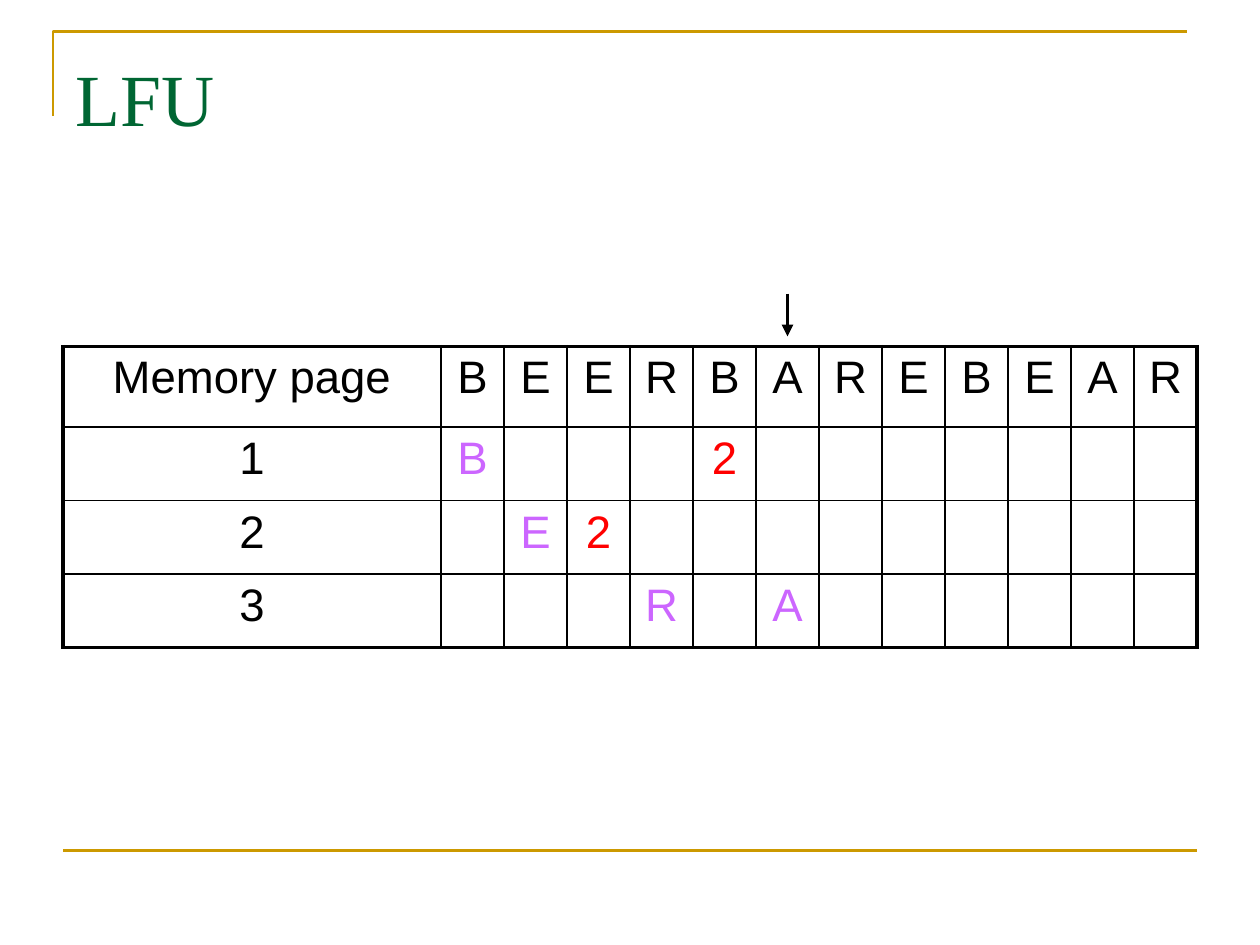
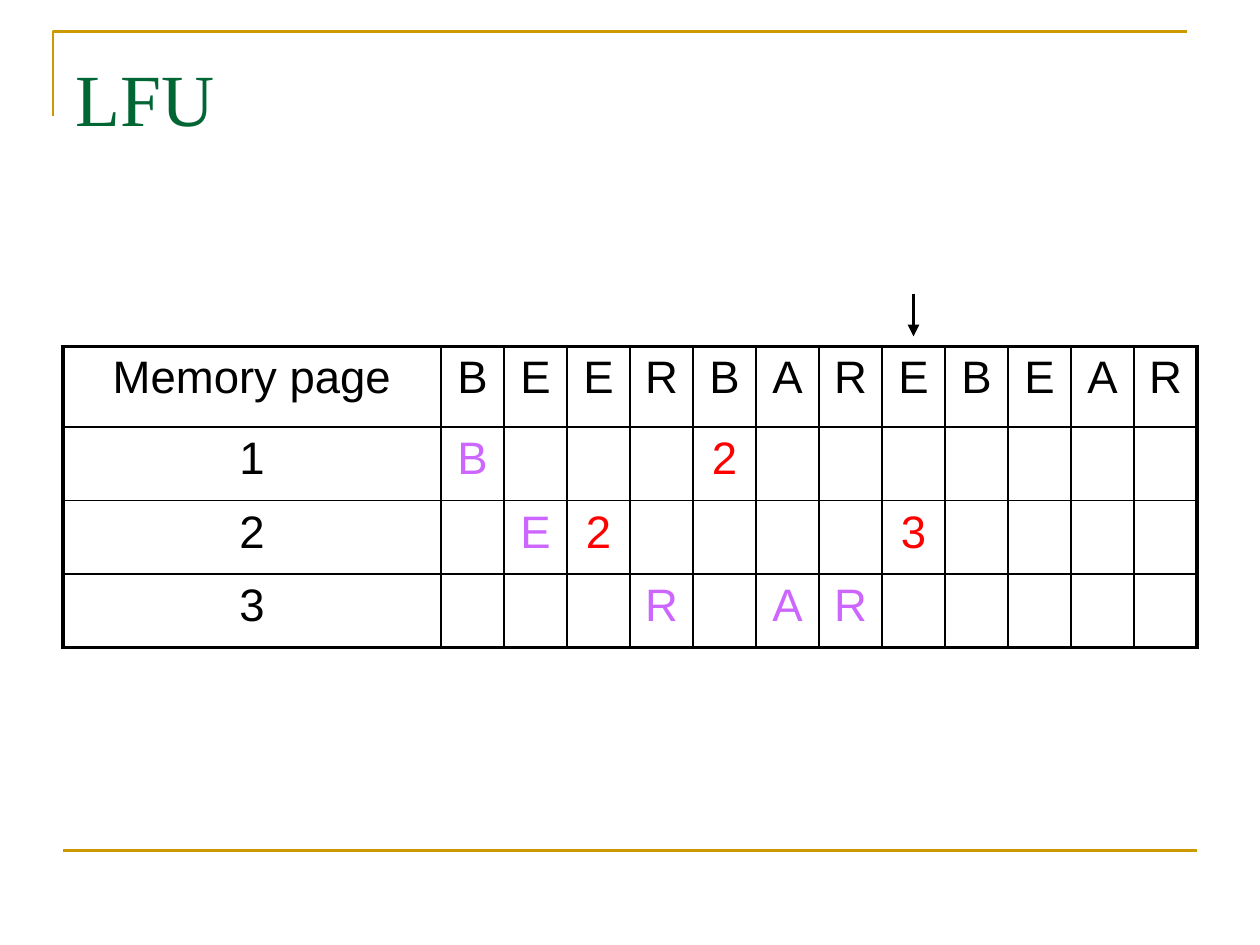
from dataclasses import dataclass

from lxml import etree
from pptx import Presentation
from pptx.dml.color import RGBColor
from pptx.enum.shapes import MSO_CONNECTOR
from pptx.enum.text import MSO_ANCHOR, MSO_AUTO_SIZE, PP_ALIGN
from pptx.oxml.ns import qn
from pptx.util import Inches, Pt

STRAIGHT = MSO_CONNECTOR.STRAIGHT
TOP = MSO_ANCHOR.TOP
FIXED = MSO_AUTO_SIZE.NONE
LEFT, CENTER = PP_ALIGN.LEFT, PP_ALIGN.CENTER
TITLE_ONLY = 5

SLIDE_WIDTH, SLIDE_HEIGHT = Inches(10), Inches(7.5)
COLUMN, ROW = SLIDE_WIDTH // 20, SLIDE_HEIGHT // 15

TITLE_BOX = (1, 0.6, 18, 2.5)
FRAME_BOX = (0.84, 0.5, 18, 1.34)
FOOTER_RULE = (1, 13.5, 18)
TABLE_BOX = (1, 5.5, 18, 4.78)
LABEL_COLUMNS = 6
HEADER_ROWS = 1.28

REFERENCES = "BEERBAREBEAR"
STEPS = [
    (5, ["B   2       ", " E2         ", "   R A      "]),
    (7, ["B   2       ", " E2    3    ", "   R AR     "]),
]


@dataclass(frozen=True)
class Theme:
    """Colours, fonts and sizes shared by the slides."""

    gold: str = "CC9900"
    green: str = "006633"
    ink: str = "000000"
    loaded: str = "CC66FF"
    hit: str = "FF0000"
    title_font: str = "Times New Roman"
    body_font: str = "Arial"
    title_size: float = 42
    body_size: float = 26
    rule: float = 1.5
    thin: float = 1
    thick: float = 2.25


THEME = Theme()


def grid(columns, rows):
    """Turn a grid position or size into slide lengths."""
    return round(columns * COLUMN), round(rows * ROW)


def add_run(paragraph, text, font, size, color):
    """Append one formatted run."""
    run = paragraph.add_run()
    run.text = text
    run.font.name, run.font.size = font, Pt(size)
    run.font.color.rgb = RGBColor.from_string(color)
    run.font.bold = False


def add_line(slide, start, end, color, width):
    """Draw a straight line without a shadow between two grid points."""
    line = slide.shapes.add_connector(STRAIGHT, *grid(*start), *grid(*end))
    line.line.color.rgb = RGBColor.from_string(color)
    line.line.width = Pt(width)
    etree.SubElement(line._element.spPr, qn("a:effectLst"))
    return line


def add_frame(slide, box):
    """Draw the gold corner around the title."""
    left, top, width, height = box
    builder = slide.shapes.build_freeform(*grid(left, top + height))
    builder.add_line_segments(
        [grid(left, top), grid(left + width, top)], close=False)
    corner = builder.convert_to_shape()
    corner.shadow.inherit = False
    corner.fill.background()
    corner.line.color.rgb = RGBColor.from_string(THEME.gold)
    corner.line.width = Pt(THEME.rule)


def add_title(slide, box, text):
    """Place and format the title placeholder."""
    title = slide.shapes.title
    title.left, title.top = grid(*box[:2])
    title.width, title.height = grid(*box[2:])
    frame = title.text_frame
    frame.auto_size, frame.vertical_anchor = FIXED, TOP
    frame.margin_top = Inches(0.12)
    paragraph = frame.paragraphs[0]
    paragraph.alignment = LEFT
    add_run(paragraph, text, THEME.title_font, THEME.title_size, THEME.green)


def set_borders(cell, outer_sides):
    """Outline a cell, with thick lines on the table's outer sides."""
    properties = cell._tc.get_or_add_tcPr()
    for index, side in enumerate("LRTB"):
        width = THEME.thick if side in outer_sides else THEME.thin
        border = etree.Element(qn(f"a:ln{side}"), w=str(Pt(width)))
        fill = etree.SubElement(border, qn("a:solidFill"))
        etree.SubElement(fill, qn("a:srgbClr"), val=THEME.ink)
        properties.insert(index, border)


def entry_color(text, is_heading):
    """Choose the colour for a heading, a loaded page or a use count."""
    if is_heading:
        return THEME.ink
    return THEME.hit if text.isdigit() else THEME.loaded


def add_page_table(slide, box, frames):
    """Build the table of memory pages over the reference string."""
    left, top, width, height = box
    rows = [["Memory page", *REFERENCES]]
    rows += [[str(number), *uses] for number, uses in enumerate(frames, 1)]
    last_row, last_column = len(rows) - 1, len(REFERENCES)
    table = slide.shapes.add_table(
        len(rows), last_column + 1, *grid(left, top), *grid(width, height)).table
    table.first_row = table.horz_banding = False
    step = (width - LABEL_COLUMNS) / last_column
    for c, column in enumerate(table.columns):
        column.width = grid(step if c else LABEL_COLUMNS, 0)[0]
    frame_rows = (height - HEADER_ROWS) / last_row
    for r, row in enumerate(table.rows):
        row.height = grid(0, frame_rows if r else HEADER_ROWS)[1]
    for r, texts in enumerate(rows):
        for c, text in enumerate(texts):
            cell = table.cell(r, c)
            cell.fill.background()
            edges = {"L": c == 0, "R": c == last_column,
                     "T": r == 0, "B": r == last_row}
            set_borders(cell, [side for side, outer in edges.items() if outer])
            if text.strip():
                paragraph = cell.text_frame.paragraphs[0]
                paragraph.alignment = CENTER
                add_run(paragraph, text, THEME.body_font, THEME.body_size,
                        entry_color(text, r == 0 or c == 0))


def add_pointer(slide, box, position):
    """Point an arrow at the current reference above the table."""
    left, top, width, _ = box
    step = (width - LABEL_COLUMNS) / len(REFERENCES)
    x = left + LABEL_COLUMNS + (position + 0.5) * step
    pointer = add_line(slide, (x, top - 0.84), (x, top - 0.16),
                       THEME.ink, THEME.thick)
    etree.SubElement(pointer.line._get_or_add_ln(), qn("a:tailEnd"),
                     type="triangle")


def add_step_slide(deck, position, frames):
    """Add one step of the page replacement example."""
    slide = deck.slides.add_slide(deck.slide_layouts[TITLE_ONLY])
    add_frame(slide, FRAME_BOX)
    left, top, width = FOOTER_RULE
    add_line(slide, (left, top), (left + width, top), THEME.gold, THEME.rule)
    add_title(slide, TITLE_BOX, "LFU")
    add_page_table(slide, TABLE_BOX, frames)
    add_pointer(slide, TABLE_BOX, position)


def main():
    """Build and save the presentation."""
    deck = Presentation()
    deck.slide_width, deck.slide_height = SLIDE_WIDTH, SLIDE_HEIGHT
    for position, frames in STEPS:
        add_step_slide(deck, position, frames)
    deck.save("out.pptx")


if __name__ == "__main__":
    main()
